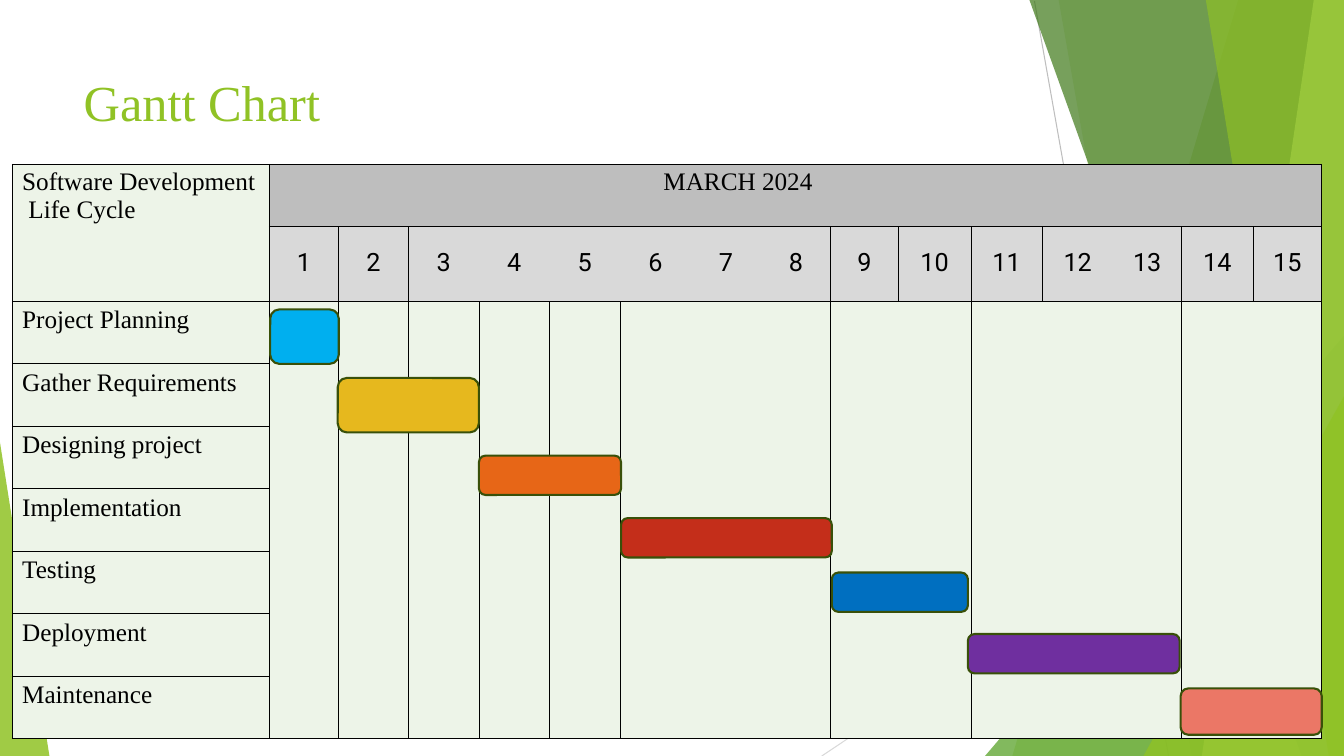
from dataclasses import dataclass

import pptx
import pptx.dml.color
import pptx.enum.shapes
import pptx.enum.text
import pptx.oxml.ns
import pptx.util
from lxml import etree

Inches = pptx.util.Inches
Pt = pptx.util.Pt
RGBColor = pptx.dml.color.RGBColor
qn = pptx.oxml.ns.qn

SERIF = "Times New Roman"
SANS = "Roboto"
NO_GRID_STYLE = "{2D5ABB26-0587-4C30-8999-92F81FD0307C}"

BLACK = RGBColor(0x00, 0x00, 0x00)
GREEN = RGBColor(0x90, 0xC2, 0x25)
MID_GREEN = RGBColor(0x53, 0x9F, 0x20)
DARK_GREEN = RGBColor(0x3E, 0x78, 0x18)
LIME = RGBColor(0xC0, 0xE3, 0x74)
PALE_GREEN = RGBColor(0xED, 0xF4, 0xE8)
BAR_OUTLINE = RGBColor(0x39, 0x50, 0x09)
GREY = RGBColor(0xBE, 0xBE, 0xBE)
LIGHT_GREY = RGBColor(0xD9, 0xD9, 0xD9)


@dataclass
class Facet:
    points: list[tuple[float, float]]
    color: RGBColor
    opacity: int


@dataclass
class Ray:
    start: tuple[float, float]
    end: tuple[float, float]
    color: RGBColor


@dataclass
class Task:
    name: str
    left: float
    top: float
    width: float
    height: float
    color: RGBColor


W, H = 13.33, 7.5

RAYS = [
    Ray((10.26, 0.01), (11.59, H), GREY),
    Ray((W, 4.04), (8.15, H), LIGHT_GREY),
]
FACETS = [
    Facet([(W, 0), (12.28, 0), (10.04, H), (W, H)], GREEN, 30),
    Facet([(W, 0), (10.5, 0), (11.82, H), (W, H)], GREEN, 20),
    Facet([(W, 3.33), (9.77, H), (W, H)], MID_GREEN, 72),
    Facet([(W, 0), (10.21, 0), (12.91, H), (W, H)], DARK_GREEN, 70),
    Facet([(W, 0), (13.03, 0), (11.92, H), (W, H)], LIME, 70),
    Facet([(W, 0), (11.96, 0), (13.18, H), (W, H)], GREEN, 65),
    Facet([(W, 3.93), (11.34, H), (W, H)], GREEN, 80),
    Facet([(0, 4.39), (0, H), (0.49, H)], GREEN, 85),
]
TASKS = [
    Task("Project Planning", 2.68, 3.07, 0.68, 0.54, RGBColor(0x00, 0xAF, 0xEF)),
    Task("Gather Requirements", 3.35, 3.75, 1.4, 0.54, RGBColor(0xE6, 0xB8, 0x1E)),
    Task("Designing project", 4.75, 4.52, 1.41, 0.39, RGBColor(0xE7, 0x66, 0x17)),
    Task("Implementation", 6.16, 5.14, 2.09, 0.39, RGBColor(0xC4, 0x2E, 0x1A)),
    Task("Testing", 8.25, 5.68, 1.35, 0.39, RGBColor(0x00, 0x6F, 0xC0)),
    Task("Deployment", 9.6, 6.29, 2.1, 0.39, RGBColor(0x6F, 0x2F, 0x9F)),
    Task("Maintenance", 11.71, 6.83, 1.4, 0.46, RGBColor(0xEB, 0x77, 0x66)),
]
COLUMN_WIDTHS = [2.55, 0.69, 0.69, 0.7, 0.7, 0.7, 0.7, 0.7,
                 0.69, 0.67, 0.72, 0.71, 0.7, 0.68, 0.71, 0.68]
ROW_HEIGHTS = [0.62, 0.74] + [0.62] * len(TASKS)
DAYS = len(COLUMN_WIDTHS) - 1
# First and last day of each run of days without inner lines
HEADER_RUNS = [(1, 1), (2, 2), (3, 8), (9, 9), (10, 10), (11, 11), (12, 13), (14, 14), (15, 15)]
BODY_RUNS = [(1, 1), (2, 2), (3, 3), (4, 4), (5, 5), (6, 8), (9, 10), (11, 13), (14, 15)]


def draw_ray(slide, ray: Ray) -> None:
    line = slide.shapes.add_connector(
        pptx.enum.shapes.MSO_CONNECTOR.STRAIGHT,
        *(Inches(v) for v in ray.start + ray.end))
    line.line.color.rgb = ray.color
    line.line.width = Pt(0.75)
    etree.SubElement(line._element.spPr, qn("a:effectLst"))


def draw_facet(slide, facet: Facet) -> None:
    first, *rest = [(Inches(x), Inches(y)) for x, y in facet.points]
    builder = slide.shapes.build_freeform(*first)
    builder.add_line_segments(rest, close=True)
    sp = builder.convert_to_shape()
    sp.shadow.inherit = False
    sp.fill.solid()
    sp.fill.fore_color.rgb = facet.color
    color = sp._element.spPr.find(".//" + qn("a:srgbClr"))
    etree.SubElement(color, qn("a:alpha"), val=str(facet.opacity * 1000))
    sp.line.fill.background()


def draw_title(slide, text: str) -> None:
    sp = slide.shapes.add_textbox(Inches(0.83), Inches(0.68), Inches(2.37), Inches(0.63))
    tf = sp.text_frame
    tf.word_wrap = False
    tf.margin_left = tf.margin_top = tf.margin_right = tf.margin_bottom = 0
    tf.vertical_anchor = pptx.enum.text.MSO_ANCHOR.BOTTOM
    tf.text = text
    format_runs(tf.paragraphs[0], SERIF, 36, GREEN)


def format_runs(p, font: str, size: float, color: RGBColor) -> None:
    for r in p.runs:
        r.font.name = font
        r.font.size = Pt(size)
        r.font.color.rgb = color


def style_cell(cell, fill: RGBColor, sides: str = "LRTB") -> None:
    """Fill the cell and rule the named sides, leaving the others bare."""
    tc_pr = cell._tc.get_or_add_tcPr()
    for side in "LRTB":
        ln = etree.SubElement(tc_pr, qn(f"a:ln{side}"), w=str(Pt(0.5)))
        if side in sides:
            solid = etree.SubElement(ln, qn("a:solidFill"))
            etree.SubElement(solid, qn("a:srgbClr"), val=str(BLACK))
        else:
            etree.SubElement(ln, qn("a:noFill"))
    cell.fill.solid()
    cell.fill.fore_color.rgb = fill


def write_cell(cell, text: str, font: str = SERIF, left: float = 0, top: float = 0.05,
               right: float = 0, centered: bool = False) -> None:
    cell.margin_left, cell.margin_top = Inches(left), Inches(top)
    cell.margin_right, cell.margin_bottom = Inches(right), 0
    p = cell.text_frame.paragraphs[0]
    p.text = text
    if centered:
        p.alignment = pptx.enum.text.PP_ALIGN.CENTER
    format_runs(p, font, 18, BLACK)


def draw_schedule(slide) -> None:
    rows = len(ROW_HEIGHTS)
    frame = slide.shapes.add_table(rows, DAYS + 1, Inches(0.12), Inches(1.63),
                                   Inches(sum(COLUMN_WIDTHS)), Inches(sum(ROW_HEIGHTS)))
    table = frame.table
    table.first_row = table.horz_banding = False
    table._tbl.tblPr.find(qn("a:tableStyleId")).text = NO_GRID_STYLE
    for column, width in zip(table.columns, COLUMN_WIDTHS):
        column.width = Inches(width)
    for row, height in zip(table.rows, ROW_HEIGHTS):
        row.height = Inches(height)

    for i in range(rows):
        style_cell(table.cell(i, 0), PALE_GREEN)
    for day in range(1, DAYS + 1):
        style_cell(table.cell(0, day), GREY)
        for i in range(2, rows):
            style_cell(table.cell(i, day), PALE_GREEN)
    for first, last in HEADER_RUNS:
        for day in range(first, last + 1):
            # The third day keeps its left rule only; the run ends on the right
            sides = "TB" + "L" * (day == first) + "R" * (day == last)
            cell = table.cell(1, day)
            style_cell(cell, LIGHT_GREY, sides)
            write_cell(cell, str(day), SANS, top=0.21, centered=True)

    table.cell(0, 0).merge(table.cell(1, 0))
    table.cell(0, 1).merge(table.cell(0, DAYS))
    for first, last in BODY_RUNS:
        table.cell(2, first).merge(table.cell(rows - 1, last))

    write_cell(table.cell(0, 0), "Software Development\v Life Cycle", left=0.1, top=0.04)
    write_cell(table.cell(0, 1), "MARCH 2024", top=0.04, right=1.14, centered=True)
    for i, task in enumerate(TASKS, start=2):
        write_cell(table.cell(i, 0), task.name, left=0.1)


def draw_bar(slide, task: Task) -> None:
    sp = slide.shapes.add_shape(
        pptx.enum.shapes.MSO_SHAPE.ROUNDED_RECTANGLE, Inches(task.left), Inches(task.top),
        Inches(task.width), Inches(task.height))
    sp.shadow.inherit = False
    sp.fill.solid()
    sp.fill.fore_color.rgb = task.color
    sp.line.color.rgb = BAR_OUTLINE
    sp.line.width = Pt(1.5)


def main() -> None:
    prs = pptx.Presentation()
    prs.slide_width, prs.slide_height = Inches(W), Inches(H)
    slide = prs.slides.add_slide(prs.slide_layouts[6])
    for ray in RAYS:
        draw_ray(slide, ray)
    for facet in FACETS:
        draw_facet(slide, facet)
    draw_title(slide, "Gantt Chart")
    draw_schedule(slide)
    for task in TASKS:
        draw_bar(slide, task)
    prs.save("out.pptx")


if __name__ == "__main__":
    main()
